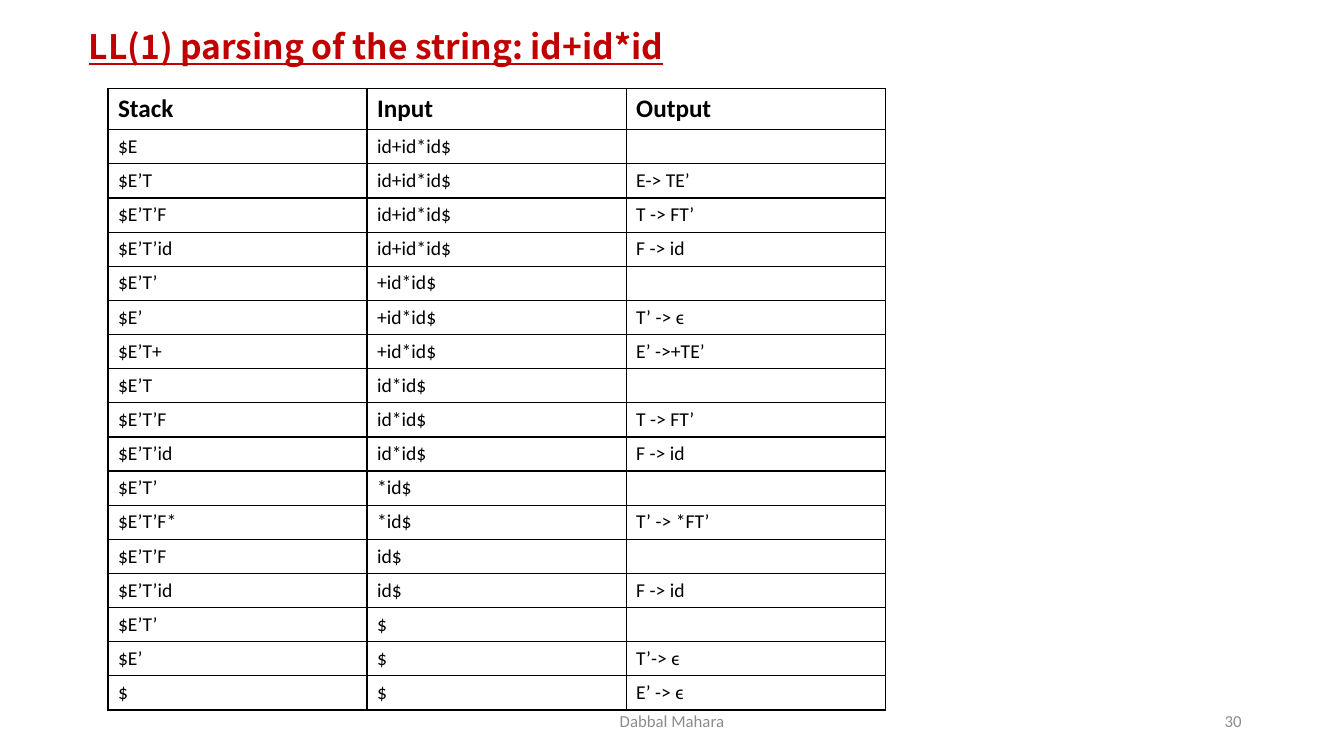
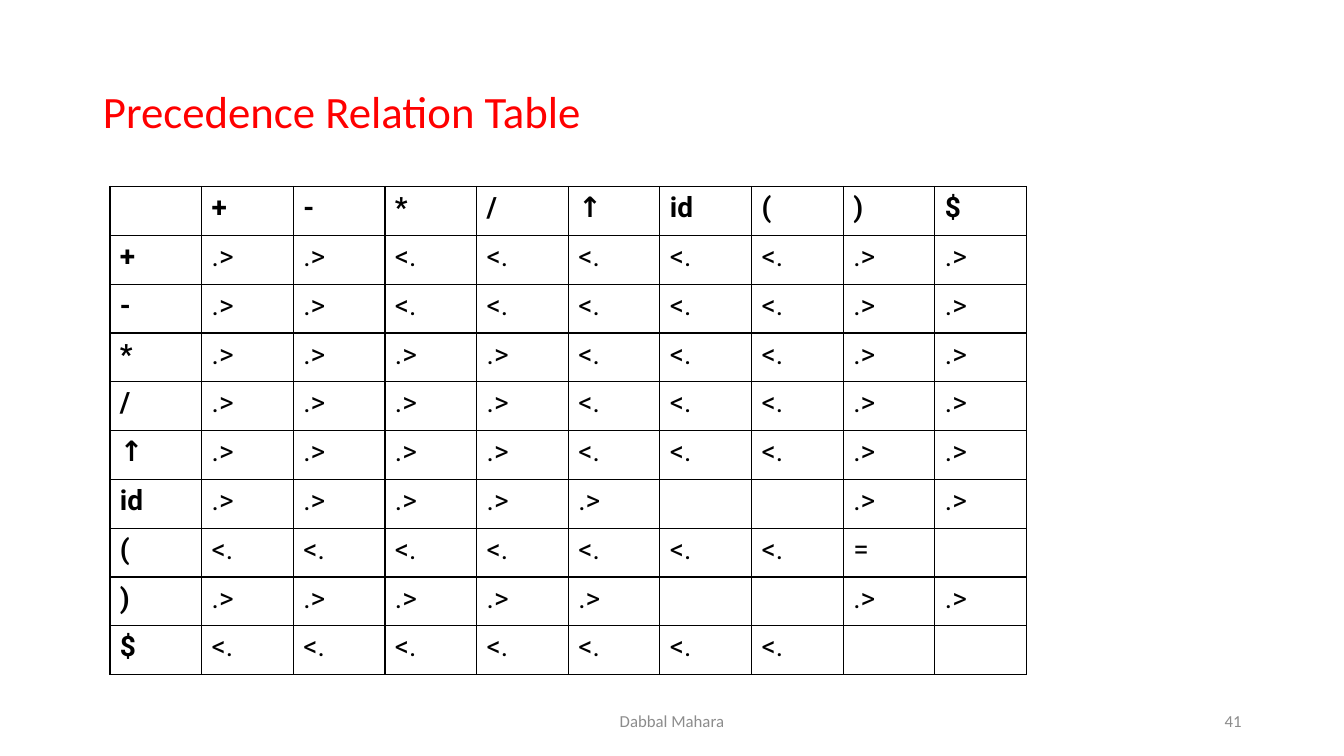
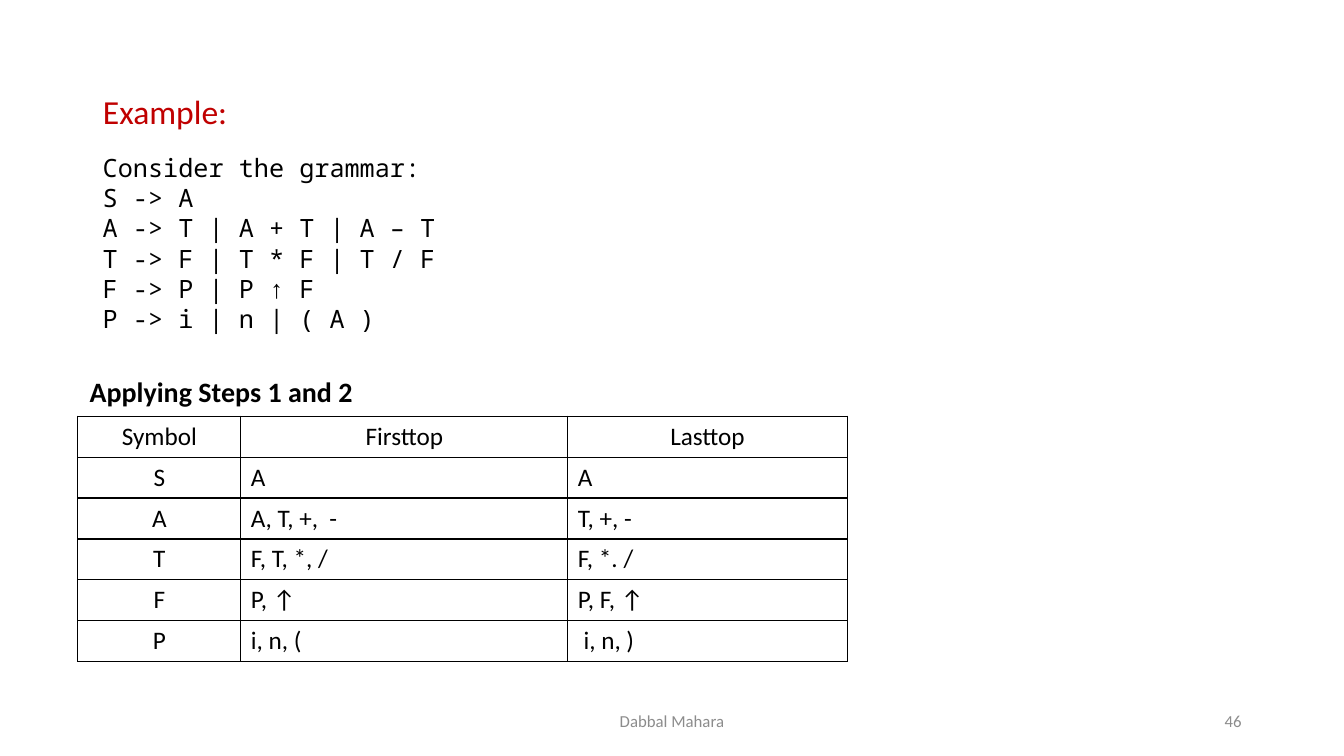
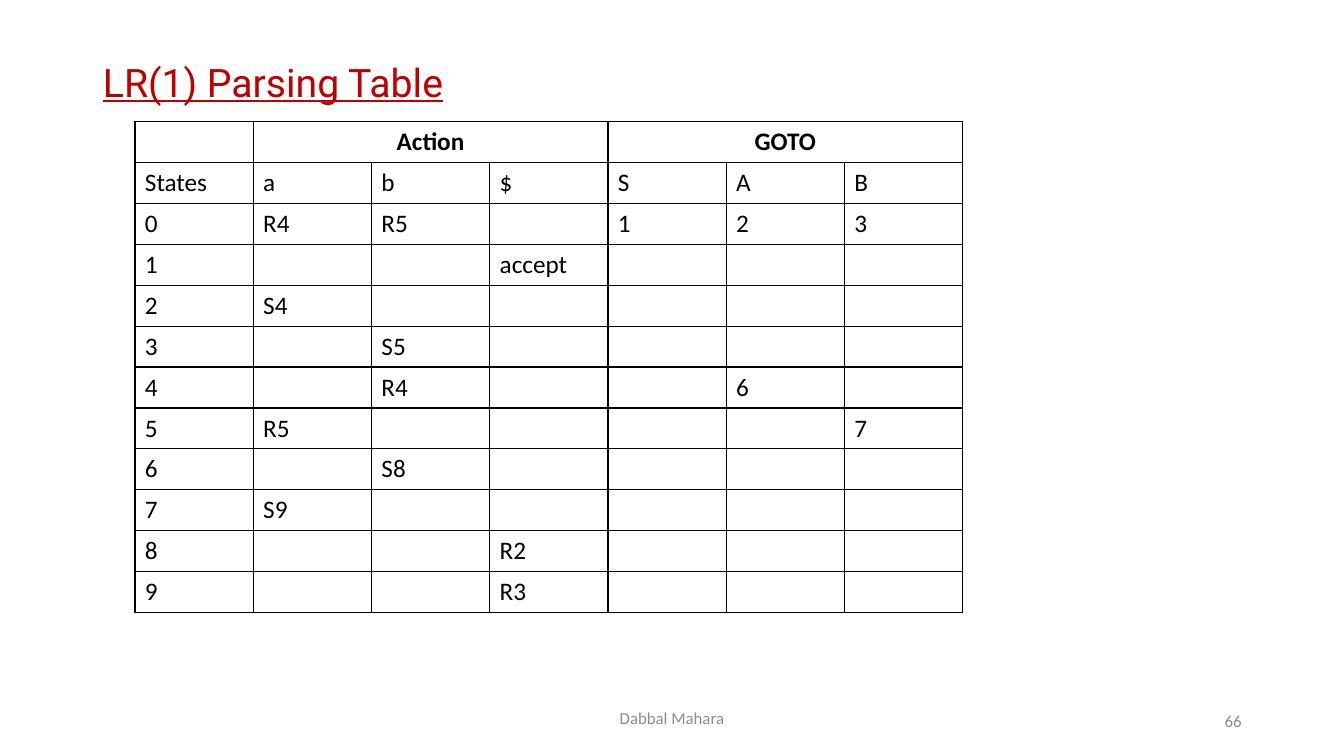
from lxml.etree import SubElement
from pptx import Presentation
from pptx.dml.color import RGBColor
from pptx.enum.text import MSO_ANCHOR, PP_ALIGN
from pptx.oxml import parse_xml
from pptx.oxml.ns import nsdecls, qn
from pptx.util import Cm, Pt

BLACK, RED, DARK_RED, GREY = "000000", "FF0000", "C00000", "8C8C8C"

MOVES = """Stack|Input|Output
$E|id+id*id$|
$E’T|id+id*id$|E-> TE’
$E’T’F|id+id*id$|T -> FT’
$E’T’id|id+id*id$|F -> id
$E’T’|+id*id$|
$E’|+id*id$|T’ -> ϵ
$E’T+|+id*id$|E’ ->+TE’
$E’T|id*id$|
$E’T’F|id*id$|T -> FT’
$E’T’id|id*id$|F -> id
$E’T’|*id$|
$E’T’F*|*id$|T’ -> *FT’
$E’T’F|id$|
$E’T’id|id$|F -> id
$E’T’|$|
$E’|$|T’-> ϵ
$|$|E’ -> ϵ"""

PRECEDENCE = """|+|-|*|/|↑|id|(|)|$
+|.>|.>|<.|<.|<.|<.|<.|.>|.>
-|.>|.>|<.|<.|<.|<.|<.|.>|.>
*|.>|.>|.>|.>|<.|<.|<.|.>|.>
/|.>|.>|.>|.>|<.|<.|<.|.>|.>
↑|.>|.>|.>|.>|<.|<.|<.|.>|.>
id|.>|.>|.>|.>|.>|||.>|.>
(|<.|<.|<.|<.|<.|<.|<.|=|
)|.>|.>|.>|.>|.>|||.>|.>
$|<.|<.|<.|<.|<.|<.|<.||"""

GRAMMAR = ["Consider the grammar:", "S -> A", "A -> T | A + T | A – T",
           "T -> F | T * F | T / F", "F -> P | P ↑ F", "P -> i | n | ( A )"]

TOPS = """Symbol|Firsttop|Lasttop
S|A|A
A|A, T, +,  -|T, +, -
T|F, T, *, /|F, *. /
F|P, ↑|P, F, ↑
P|i, n, (| i, n, )"""

STATES = """|Action|||GOTO||
States|a|b|$|S|A|B
0|R4|R5||1|2|3
1|||accept|||
2|S4|||||
3||S5||||
4||R4|||6|
5|R5|||||7
6||S8||||
7|S9|||||
8|||R2|||
9|||R3|||"""


def color(hex_string):
    return RGBColor.from_string(hex_string)


class Deck:
    """Lecture slides with a shared title, footer and ruled table style."""

    def __init__(self):
        self.presentation = Presentation()
        self.presentation.slide_width = Cm(33.87)
        self.presentation.slide_height = Cm(19.05)
        self.slide = None

    def start(self, number, footer_top=17.65):
        layout = self.presentation.slide_layouts[5]
        self.slide = self.presentation.slides.add_slide(layout)
        self.text(["Dabbal Mahara"], 11.22, footer_top, 11.43, 1.02, size=12, ink=GREY,
                  align=PP_ALIGN.CENTER, anchor=MSO_ANCHOR.MIDDLE)
        self.text([str(number)], 23.92, 17.65, 7.62, 1.02, size=12, ink=GREY,
                  align=PP_ALIGN.RIGHT, anchor=MSO_ANCHOR.MIDDLE)

    def fill_paragraph(self, paragraph, text, size=18, font="Calibri", ink=BLACK, bold=False,
                       underline=False, align=PP_ALIGN.LEFT, spacing=None):
        paragraph.alignment = align
        if spacing:
            paragraph.line_spacing = spacing
        if not text:
            SubElement(paragraph._p, qn("a:endParaRPr"), sz=str(size * 100))
            return
        run = paragraph.add_run()
        run.text = text
        run.font.size = Pt(size)
        run.font.name = font
        run.font.bold = bold
        run.font.underline = underline
        run.font.color.rgb = color(ink)

    def title(self, text, left, top, height, **style):
        shape = self.slide.shapes.title
        shape.left, shape.top, shape.width, shape.height = Cm(left), Cm(top), Cm(29.21), Cm(height)
        shape.text_frame.vertical_anchor = MSO_ANCHOR.MIDDLE
        self.fill_paragraph(shape.text_frame.paragraphs[0], text, spacing=0.9, **style)

    def text(self, lines, left, top, width, height, anchor=MSO_ANCHOR.TOP, **style):
        shape = self.slide.shapes.add_textbox(Cm(left), Cm(top), Cm(width), Cm(height))
        frame = shape.text_frame
        frame.word_wrap = True
        frame.vertical_anchor = anchor
        for index, line in enumerate(lines):
            paragraph = frame.add_paragraph() if index else frame.paragraphs[0]
            self.fill_paragraph(paragraph, line, **style)

    def rule(self, cell):
        cell.fill.background()
        properties = cell._tc.get_or_add_tcPr()
        for index, side in enumerate("LRTB"):
            properties.insert(index, parse_xml(
                f'<a:ln{side} {nsdecls("a")} w="12700"><a:solidFill>'
                f'<a:srgbClr val="{BLACK}"/></a:solidFill></a:ln{side}>'))

    def table(self, content, left, top, widths, heights, style):
        """Draw rows of text; style(row, column) gives each cell's text style."""
        rows = [line.split("|") for line in content.split("\n")]
        frame = self.slide.shapes.add_table(len(rows), len(widths), Cm(left), Cm(top),
                                            Cm(sum(widths)), Cm(sum(heights)))
        table = frame.table
        table.first_row = table.horz_banding = False
        for column, width in zip(table.columns, widths):
            column.width = Cm(width)
        for row, height in zip(table.rows, heights):
            row.height = Cm(height)
        for row, texts in enumerate(rows):
            for column, text in enumerate(texts):
                cell = table.cell(row, column)
                self.rule(cell)
                self.fill_paragraph(cell.text_frame.paragraphs[0], text, **style(row, column))
        return table


def centered(condition):
    return PP_ALIGN.CENTER if condition else PP_ALIGN.LEFT


def main():
    deck = Deck()

    deck.start(30)
    deck.title("LL(1) parsing of the string: id+id*id", 1.98, 0.3, 1.83, size=24,
               font="Noto Sans CJK SC", ink=DARK_RED, bold=True, underline=True)
    deck.table(MOVES, 2.72, 2.24, [6.53] * 3, [1.03] + [0.86] * 17,
               lambda row, column: {"size": 14 if row else 18, "bold": row == 0})

    deck.start(41)
    deck.title("Precedence Relation Table", 2.34, 1.02, 3.68, size=32, ink=RED)
    deck.table(PRECEDENCE, 2.77, 4.7, [2.31] * 10, [1.23] * 10,
               lambda row, column: {"size": 20, "font": "Roboto", "bold": row * column == 0})

    deck.start(46)
    deck.title("Example:", 2.34, 1.02, 3.68, size=24, ink=DARK_RED)
    deck.text(GRAMMAR, 2.34, 3.71, 19.99, 5.64, font="Noto Sans Mono", spacing=Pt(21.6))
    deck.text(["Applying Steps 1 and 2"], 2.01, 9.3, 10.97, 1.12, size=20, bold=True)
    deck.table(TOPS, 1.96, 10.49, [4.11, 8.24, 7.04], [1.03] * 6,
               lambda row, column: {"align": centered(row * column == 0)})

    deck.start(66, footer_top=17.58)
    deck.title("LR(1) Parsing Table", 2.34, 1.02, 2.21, size=28, font="Roboto",
               ink=DARK_RED, underline=True)
    table = deck.table(STATES, 3.4, 3.07, [2.98] * 7, [1.03] * 12,
                       lambda row, column: {"bold": row == 0, "align": centered(row == 0)})
    for first in (1, 4):
        table.cell(0, first).merge(table.cell(0, first + 2))

    deck.presentation.save("out.pptx")


if __name__ == "__main__":
    main()
